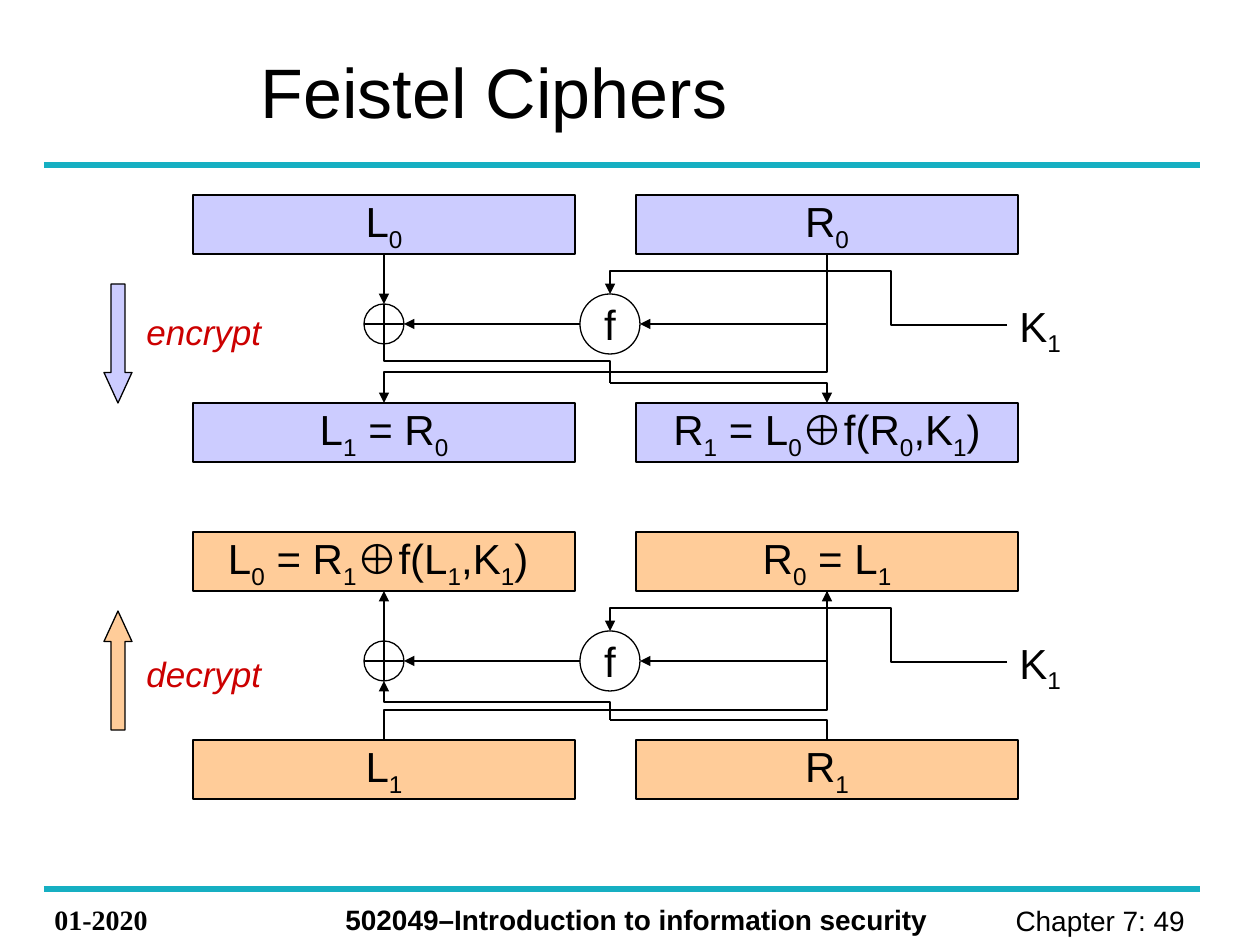
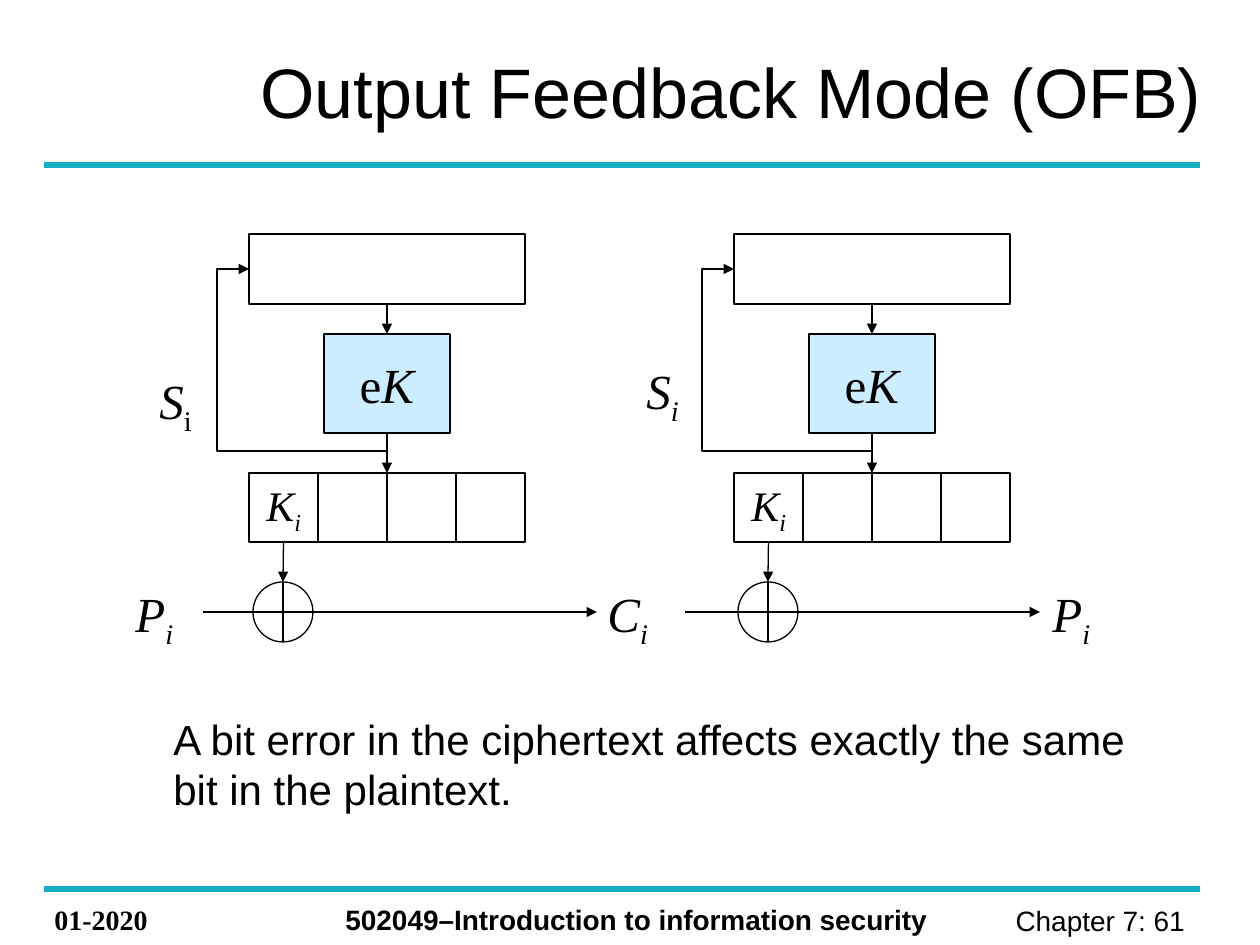
from dataclasses import dataclass
from typing import NamedTuple

from lxml import etree
from pptx import Presentation
from pptx import util as u
from pptx.dml.color import RGBColor
from pptx.enum import shapes, text
from pptx.oxml.ns import qn

PX_PER_INCH = 126
BLACK = RGBColor(0x00, 0x00, 0x00)
WHITE = RGBColor(0xFF, 0xFF, 0xFF)
TEAL = RGBColor(0x16, 0xAF, 0xC2)
RED = RGBColor(0xCC, 0x00, 0x00)
LAVENDER = RGBColor(0xCC, 0xCC, 0xFF)
PEACH = RGBColor(0xFF, 0xCC, 0x99)
SKY = RGBColor(0xCC, 0xEC, 0xFF)
SANS = "Arial"
SERIF = "Times New Roman"
RECT = shapes.MSO_SHAPE.RECTANGLE
OVAL = shapes.MSO_SHAPE.OVAL
LEFT, CENTER, RIGHT = text.PP_ALIGN.LEFT, text.PP_ALIGN.CENTER, text.PP_ALIGN.RIGHT
START, END = "headEnd", "tailEnd"

Point = tuple[int, int]


class Box(NamedTuple):
    left: int
    top: int
    width: int
    height: int


class Run(NamedTuple):
    text: str
    sub: bool = False
    italic: bool = False


@dataclass(frozen=True)
class Style:
    size: int
    font: str = SANS
    color: RGBColor = BLACK
    bold: bool = False


@dataclass(frozen=True)
class Round:
    """One Feistel round; labels run top left, top right, bottom left, bottom right."""
    top: int
    fill: RGBColor
    labels: tuple[str, str, str, str]
    caption: str
    caption_top: int
    arrow: shapes.MSO_SHAPE
    arrow_top: int
    upward: bool
    xor_turn: int
    swap_turn: int


@dataclass(frozen=True)
class Feedback:
    """One side of the output feedback diagram."""
    left: int
    state: list[Run]
    state_at: Point
    wire: Point


def emu(px: float) -> u.Emu:
    return u.Emu(round(px * 914400 / PX_PER_INCH))


def subs(markup: str, italic: bool = False) -> list[Run]:
    """Turn 'K_1' into runs; the letter after each underscore is a subscript."""
    first, *rest = markup.split("_")
    runs = [Run(first, False, italic)]
    for part in rest:
        runs += [Run(part[0], True, italic), Run(part[1:], False, italic)]
    return [run for run in runs if run.text]


def write(tf, runs: list[Run], style: Style, align=LEFT) -> None:
    p = tf.paragraphs[0]
    p.alignment = align
    for run in runs:
        r = p.add_run()
        r.text = run.text
        font = r.font
        font.name, font.size, font.bold = style.font, u.Pt(style.size), style.bold
        font.italic = run.italic
        font.color.rgb = style.color
        if run.sub:
            r._r.get_or_add_rPr().set("baseline", "-25000")


def add_text(s, box: Box, runs: list[Run], style: Style, align=LEFT, wrap=False):
    sp = s.shapes.add_textbox(*map(emu, box))
    tf = sp.text_frame
    tf.word_wrap = wrap
    tf.auto_size = text.MSO_AUTO_SIZE.SHAPE_TO_FIT_TEXT
    write(tf, runs, style, align)
    return sp


def add_shape(s, kind, box: Box, fill: RGBColor | None = None,
              runs: list[Run] | None = None, style: Style = Style(24)):
    sp = s.shapes.add_shape(kind, *map(emu, box))
    sp.shadow.inherit = False
    if fill is None:
        sp.fill.background()
    else:
        sp.fill.solid()
        sp.fill.fore_color.rgb = fill
    sp.line.color.rgb = BLACK
    sp.line.width = u.Pt(0.75)
    if runs:
        tf = sp.text_frame
        tf.word_wrap = False
        tf.vertical_anchor = text.MSO_ANCHOR.MIDDLE
        write(tf, runs, style, CENTER)
    return sp


def finish_line(cxn, arrow: str, color: RGBColor, width: float) -> None:
    cxn.line.color.rgb = color
    cxn.line.width = u.Pt(width)
    if arrow:
        etree.SubElement(cxn.line._get_or_add_ln(), qn(f"a:{arrow}"), type="triangle")
    etree.SubElement(cxn._element.spPr, qn("a:effectLst"))


def add_line(s, start: Point, end: Point, arrow: str = "",
             color: RGBColor = BLACK, width: float = 0.75):
    cxn = s.shapes.add_connector(shapes.MSO_CONNECTOR.STRAIGHT, *map(emu, start + end))
    finish_line(cxn, arrow, color, width)
    return cxn


def add_elbow(s, points: list[Point], arrow: str = "") -> None:
    """Draw a bent connector through the given corners."""
    (x1, y1), (x2, y2) = points[0], points[-1]
    dx, dy = x2 - x1, y2 - y1
    axis = 1 if points[1][0] == x1 else 0
    if axis:
        turn = 90 if dx < 0 < dy else 270
    else:
        turn = 180 if dx < 0 and dy < 0 else 0
    w, h = {0: (dx, dy), 90: (dy, -dx), 180: (-dx, -dy), 270: (-dy, dx)}[turn]
    cx, cy = (x1 + x2) / 2, (y1 + y2) / 2
    corners = (cx - w / 2, cy - h / 2, cx + w / 2, cy + h / 2)
    cxn = s.shapes.add_connector(shapes.MSO_CONNECTOR.ELBOW, *map(emu, corners))
    sp_pr = cxn._element.spPr
    if turn:
        sp_pr.find(qn("a:xfrm")).set("rot", str(turn * 60000))
    geom = sp_pr.find(qn("a:prstGeom"))
    geom.set("prst", f"bentConnector{len(points) - 1}")
    guides = geom.find(qn("a:avLst"))
    if guides is None:
        guides = etree.SubElement(geom, qn("a:avLst"))
    for i, corner in enumerate(points[1:-2], 1):
        side = axis if i % 2 else 1 - axis
        share = (corner[side] - points[0][side]) / (dx, dy)[side]
        etree.SubElement(guides, qn("a:gd"), name=f"adj{i}",
                         fmla=f"val {round(share * 100000)}")
    finish_line(cxn, arrow, BLACK, 0.75)


def add_page(prs, title: str, number: int):
    """Add a slide with its title, rules and footer."""
    s = prs.slides.add_slide(prs.slide_layouts[5])
    for y in (165, 889):
        add_line(s, (44, y), (1200, y), color=TEAL, width=3)
    add_text(s, Box(928, 897, 277, 47), [Run(f"Chapter 7: {number} ")], Style(16), RIGHT, True)
    add_text(s, Box(42, 896, 168, 47), [Run("01-2020")],
             Style(16, SERIF, bold=True), wrap=True)
    add_text(s, Box(333, 896, 635, 47), [Run("502049–Introduction to information security")],
             Style(16, bold=True), wrap=True)
    sp = s.shapes.title
    sp.left, sp.top, sp.width, sp.height = map(emu, Box(248, 35, 1012, 110))
    tf = sp.text_frame
    tf.auto_size = text.MSO_AUTO_SIZE.NONE
    tf.vertical_anchor = text.MSO_ANCHOR.MIDDLE
    write(tf, [Run(title)], Style(40))
    return s


def draw_round(s, rnd: Round) -> None:
    left_x, f_x, right_x = 384, 610, 827
    half_width, box_height = 191, 59
    top = rnd.top
    upper, lower, mid = top + box_height, top + 208, top + 129
    boxes = []
    for i, label in enumerate(rnd.labels):
        x, y = (left_x, right_x)[i % 2], (top, lower)[i // 2]
        boxes.append(add_shape(s, RECT, Box(x - half_width, y, 2 * half_width, box_height),
                               rnd.fill, subs(label)))

    add_shape(s, OVAL, Box(left_x - 20, mid - 20, 40, 40), WHITE)
    add_line(s, (left_x, mid - 20), (left_x, mid + 20))
    add_line(s, (left_x - 20, mid), (left_x + 20, mid))
    add_shape(s, OVAL, Box(f_x - 30, mid - 30, 60, 60), WHITE, [Run("f")])
    add_text(s, Box(1007, mid - 30, 69, 63), subs("K_1"), Style(24))
    add_elbow(s, [(1007, mid + 1), (891, mid + 1), (891, mid - 53),
                  (f_x, mid - 53), (f_x, mid - 30)], END)

    first, last = (START, "") if rnd.upward else (END, END)
    cxn = add_line(s, (left_x, upper), (left_x, mid - 20), first)
    cxn.begin_connect(boxes[0], 2)
    add_line(s, (f_x - 30, mid), (left_x + 20, mid), END)
    add_elbow(s, [(right_x, upper), (right_x, mid), (f_x + 30, mid)], END)
    add_elbow(s, [(right_x, upper), (right_x, top + rnd.swap_turn),
                  (left_x, top + rnd.swap_turn), (left_x, lower)], first)
    joint = (f_x, top + 188)
    add_elbow(s, [(left_x, mid + 20), (left_x, top + rnd.xor_turn),
                  (f_x, top + rnd.xor_turn), joint], START if rnd.upward else "")
    add_elbow(s, [joint, (right_x, joint[1]), (right_x, lower)], last)

    add_text(s, Box(134, rnd.caption_top, 140, 54), [Run(rnd.caption, italic=True)],
             Style(20, color=RED))
    arrow = add_shape(s, rnd.arrow, Box(104, rnd.arrow_top, 28, 119), rnd.fill)
    arrow.adjustments[0], arrow.adjustments[1] = 0.5, 1.09


def draw_feedback(s, side: Feedback) -> None:
    cell, cells_top, wire_y = 69, 473, 612
    left, center, xor_x = side.left, side.left + 2 * cell, side.left + cell // 2
    register = add_shape(s, RECT, Box(left, 234, 4 * cell, 70))
    cipher = add_shape(s, RECT, Box(center - 63, 334, 126, 99), SKY,
                       [Run("e"), Run("K", italic=True)], Style(28, SERIF))
    cells = [add_shape(s, RECT, Box(left + i * cell, cells_top, cell, cell)) for i in range(4)]
    add_shape(s, OVAL, Box(xor_x - 30, wire_y - 30, 60, 60))
    add_line(s, (xor_x, wire_y - 30), (xor_x, wire_y + 30))
    add_line(s, (side.wire[0], wire_y), (side.wire[1], wire_y), END)

    cxn = add_line(s, (center, 304), (center, 334), END)
    cxn.begin_connect(register, 2)
    cxn.end_connect(cipher, 0)
    cxn = add_line(s, (center, 433), (center, cells_top), END)
    cxn.begin_connect(cipher, 2)
    cxn = add_line(s, (xor_x, cells_top + cell), (xor_x, wire_y - 30), END)
    cxn.begin_connect(cells[0], 2)
    add_elbow(s, [(center, 433), (center, 451), (left - 32, 451),
                  (left - 32, 269), (left, 269)], END)

    add_text(s, Box(*side.state_at, 62, 72), side.state, Style(28, SERIF))
    add_text(s, Box(left + 5, cells_top, 64, 63), subs("K_i", True), Style(24, SERIF))


def feistel_slide(prs) -> None:
    s = add_page(prs, "Feistel Ciphers", 49)
    draw_round(s, Round(195, LAVENDER, ("L_0", "R_0", "L_1 = R_0", "R_1 = L_0⊕f(R_0,K_1)"),
                        "encrypt", 304, shapes.MSO_SHAPE.DOWN_ARROW, 284, False, 166, 177))
    draw_round(s, Round(532, PEACH, ("L_0 = R_1⊕f(L_1,K_1) ", "R_0 = L_1", "L_1", "R_1"),
                        "decrypt", 646, shapes.MSO_SHAPE.UP_ARROW, 611, True, 170, 178))


def ofb_slide(prs) -> None:
    s = add_page(prs, "Output Feedback Mode (OFB)", 61)
    sent = [Run("S", italic=True), Run("i", sub=True)]
    draw_feedback(s, Feedback(249, sent, (147, 364), (203, 597)))
    draw_feedback(s, Feedback(734, subs("S_i", True), (634, 354), (685, 1040)))
    for label, x in (("P_i", 123), ("C_i", 595), ("P_i", 1040)):
        add_text(s, Box(x, 577, 72, 72), subs(label, True), Style(28, SERIF))
    add_text(s, Box(161, 707, 1023, 110),
             [Run("A bit error in the ciphertext affects exactly the same bit in the plaintext.")],
             Style(24), wrap=True)


def main() -> None:
    prs = Presentation()
    prs.slide_width, prs.slide_height = emu(1260), emu(945)
    feistel_slide(prs)
    ofb_slide(prs)
    prs.save("out.pptx")


if __name__ == "__main__":
    main()
